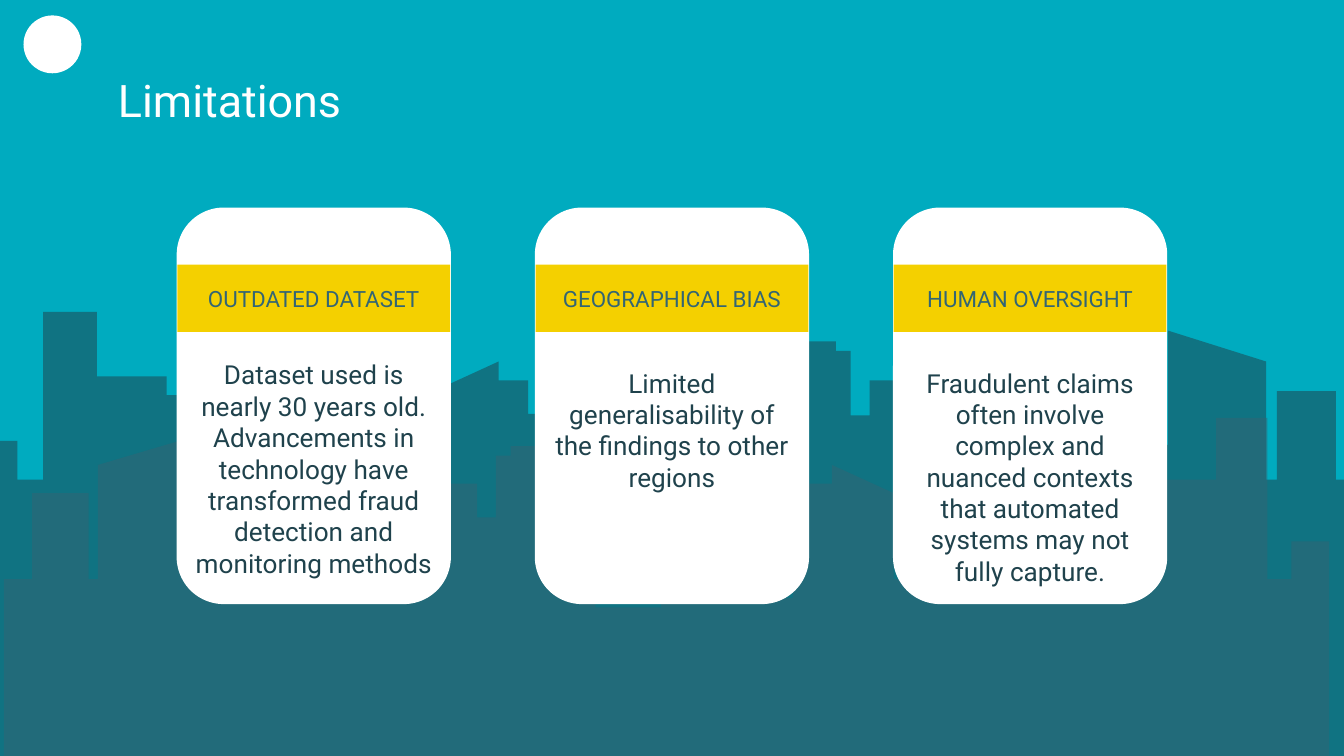
import pptx
import pptx.util
import pptx.dml.color
import pptx.enum.shapes
import pptx.enum.text
import pptx.oxml
import pptx.oxml.ns

COLORS = {
    "sky": "00ABBF",
    "white": "FFFFFF",
    "yellow": "F4D000",
    "slate": "336574",
    "dark": "1F424C",
}
CELL = pptx.util.Inches(0.1)
COLUMNS, ROWS = 100, 56.25
CARD_LEFT, CARD_STEP, CARD_WIDTH = 13.2, 26.65, 20.3
SHAPES = pptx.enum.shapes.MSO_SHAPE
ALIGN = pptx.enum.text.PP_ALIGN
ANCHOR = pptx.enum.text.MSO_ANCHOR

CARDS = [
    ("OUTDATED DATASET", 25.7,
     "Dataset used is nearly 30 years old. Advancements in technology have "
     "transformed fraud detection and monitoring methods"),
    ("GEOGRAPHICAL BIAS", 26.3,
     "Limited generalisability of the findings to other regions"),
    ("HUMAN OVERSIGHT", 26.3,
     "Fraudulent claims often involve complex and nuanced contexts that "
     "automated systems may not fully capture."),
]

BACK_ROOFS = [
    (1.3, 32.8), (3.2, 35.7), (7.2, 23.2), (12.4, 28), (15.7, 29.4),
    (17.6, 33.1), (24.9, 24.6), (25.7, 35.7), (30.1, 29.1), (32.3, 35.7),
    (37.1, 29.1, 26.9), (39.3, 28.3), (40.1, 30.8), (42.6, 37.2),
    (44.5, 26.1), (50.4, 24.6), (55.5, 37.9), (62.2, 25.4), (63.3, 26.1),
    (64.7, 30.9), (67.7, 28.3), (70.5, 32.8), (72.5, 29.9), (76.5, 23.2),
    (81.7, 28), (85, 29.4), (86.9, 33.1), (94.2, 24.6, 26.9), (95, 35.7),
    (99.4, 29.1), (101.6, 35.7),
]
FRONT_ROOFS = [
    (2.4, 43.1), (6.6, 36.7), (7.3, 43.1), (14.4, 34.6, 32.5), (16.1, 40.6),
    (19.3, 37.1), (24.2, 35.7), (28.1, 31.1), (30, 37.6), (32.7, 40.3),
    (35.5, 36), (36.9, 38.5), (38, 33.9), (44.3, 33.2), (49.2, 45.2),
    (54.9, 32.5), (56.6, 33.9), (59, 44.5), (59.8, 38.4), (61.9, 36),
    (66.5, 34.6, 36.7), (68.6, 43.1), (72.9, 36.7), (73.6, 43.1),
    (80.6, 32.5), (82.4, 40.6), (85.5, 37.1), (90.5, 35.7), (94.3, 31.1),
    (96.1, 43.1), (98.9, 40.3),
]


def grid(*cells):
    return [pptx.util.Emu(round(cell * CELL)) for cell in cells]


def color(name):
    return pptx.dml.color.RGBColor.from_string(COLORS[name])


def apply_format(target, values):
    for name, value in values.items():
        setattr(target, name, value)


def fill_shape(shape, name, outlined=False):
    shape.shadow.inherit = False
    shape.fill.solid()
    shape.fill.fore_color.rgb = color(name)
    if outlined:
        shape.line.color.rgb = color(name)
        shape.line.width = pptx.util.Pt(0.75)
    else:
        shape.line.fill.background()


def add_skyline(slide, left, bottom, roofs, name):
    points = [(left, bottom)]
    start = left
    for end, top, *slope in roofs:
        points += [(start, top), (end, slope[0] if slope else top)]
        start = end
    points.append((start, bottom))
    corners = [grid(*point) for point in points]
    builder = slide.shapes.build_freeform(*corners[0])
    builder.add_line_segments(corners[1:], close=True)
    shape = builder.convert_to_shape()
    fill_shape(shape, name)
    solid = shape.fill._xPr.find(pptx.oxml.ns.qn("a:solidFill"))
    alpha = pptx.oxml.parse_xml(
        f'<a:alpha {pptx.oxml.ns.nsdecls("a")} val="53000"/>')
    solid[0].append(alpha)


def add_block(slide, kind, box, name, outlined=False):
    shape = slide.shapes.add_shape(kind, *grid(*box))
    fill_shape(shape, name, outlined)
    return shape


def write_text(shape, text, size, name, alignment, anchor):
    frame = shape.text_frame
    margin = CELL
    apply_format(frame, {
        "word_wrap": True, "vertical_anchor": anchor,
        "margin_left": margin, "margin_right": margin,
        "margin_top": margin, "margin_bottom": margin,
    })
    paragraph = frame.paragraphs[0]
    paragraph.alignment = alignment
    run = paragraph.add_run()
    run.text = text
    apply_format(run.font, {"name": "Roboto", "size": pptx.util.Pt(size)})
    run.font.color.rgb = color(name)


def add_card(slide, index, heading, body_top, body):
    left = CARD_LEFT + index * CARD_STEP
    card = add_block(slide, SHAPES.ROUNDED_RECTANGLE,
                     (left, 15.5, CARD_WIDTH, 29.4), "white", True)
    card.adjustments[0] = 0.17
    band = add_block(slide, SHAPES.RECTANGLE,
                     (left, 19.7, CARD_WIDTH, 5), "yellow")
    write_text(band, heading, 12, "slate", ALIGN.CENTER, ANCHOR.MIDDLE)
    box = slide.shapes.add_textbox(*grid(left, body_top, CARD_WIDTH, 11.1))
    write_text(box, body, 14, "dark", ALIGN.CENTER, ANCHOR.TOP)


def main():
    presentation = pptx.Presentation()
    width, height = grid(COLUMNS, ROWS)
    apply_format(presentation, {"slide_width": width, "slide_height": height})
    slide = presentation.slides.add_slide(presentation.slide_layouts[6])
    slide.background.fill.solid()
    slide.background.fill.fore_color.rgb = color("sky")

    add_skyline(slide, -1.6, 56.3, BACK_ROOFS, "dark")
    add_skyline(slide, 0.3, 58.8, FRONT_ROOFS, "slate")
    add_block(slide, SHAPES.OVAL, (1.8, 1.2, 4.2, 4.2), "white", True)
    for index, card in enumerate(CARDS):
        add_card(slide, index, *card)
    title = slide.shapes.add_textbox(*grid(7.8, 4.3, 84.4, 6.3))
    write_text(title, "Limitations", 24, "white", ALIGN.LEFT, ANCHOR.MIDDLE)
    presentation.save("out.pptx")


if __name__ == "__main__":
    main()
